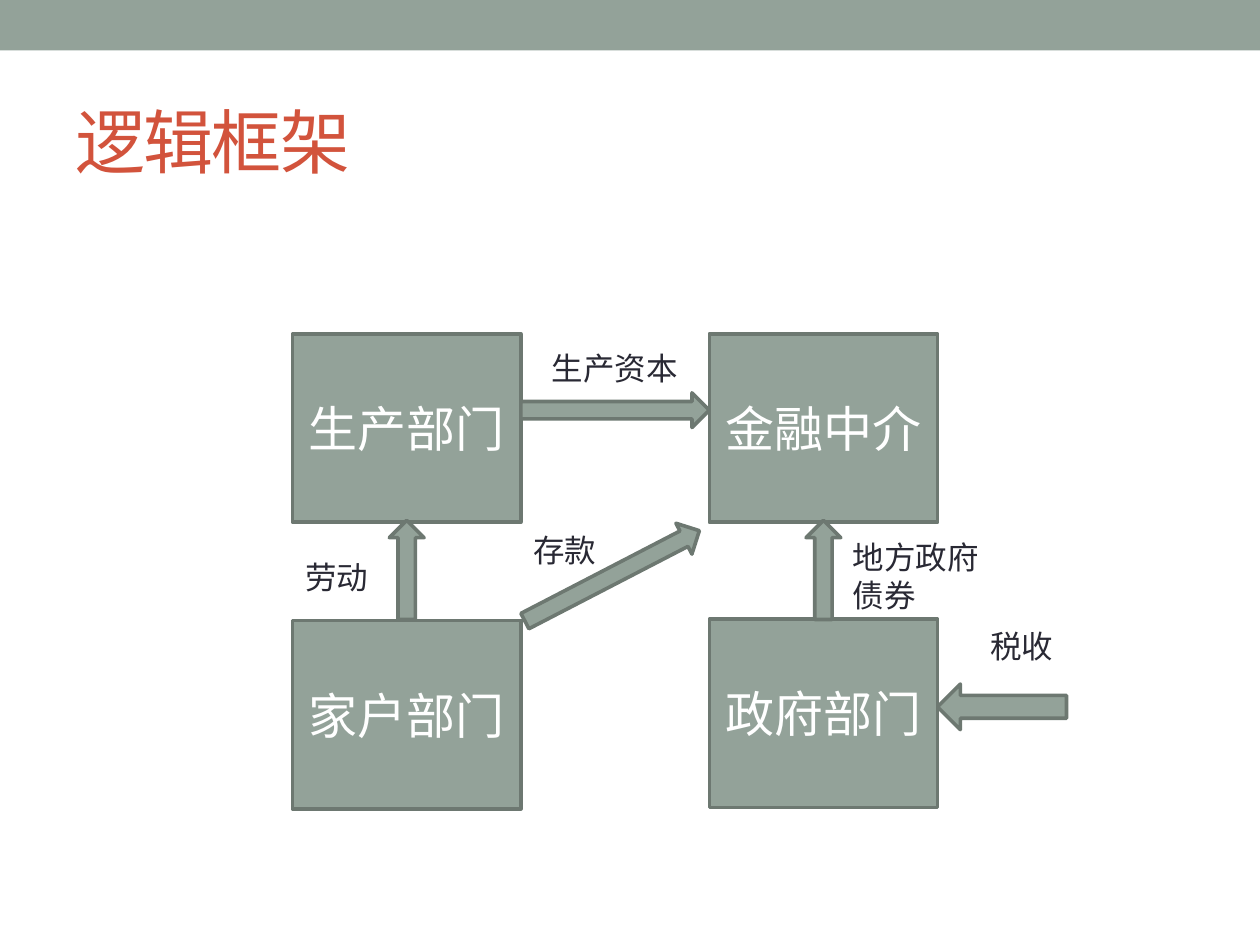
from dataclasses import dataclass
from pptx import Presentation
from pptx.dml.color import RGBColor as RGB
from pptx.enum.shapes import MSO_SHAPE as Kind
from pptx.enum.text import MSO_ANCHOR as Anchor, MSO_AUTO_SIZE as Fit, PP_ALIGN as Align
from pptx.util import Cm, Pt


@dataclass(frozen=True)
class Theme:
    font: str = "Arial"
    sage: RGB = RGB(0x93, 0xA2, 0x99)
    edge: RGB = RGB(0x6D, 0x78, 0x71)
    red: RGB = RGB(0xD2, 0x53, 0x3C)
    ink: RGB = RGB(0x29, 0x29, 0x34)
    white: RGB = RGB(0xFF, 0xFF, 0xFF)
    head: int = 40
    node: int = 28
    note: int = 18
    rule: float = 2.08


theme = Theme()


def write(shape, text, size, color, align, anchor):
    frame = shape.text_frame
    frame.word_wrap = True
    frame.vertical_anchor = anchor
    para = frame.paragraphs[0]
    para.text = text
    para.alignment = align
    font = para.font
    font.name, font.size = theme.font, Pt(size)
    font.color.rgb = color
    return para


def block(slide, kind, left, top, wide, high, line=True):
    shape = slide.shapes.add_shape(kind, Cm(left), Cm(top), Cm(wide), Cm(high))
    shape.shadow.inherit = False
    shape.fill.solid()
    shape.fill.fore_color.rgb = theme.sage
    if line:
        shape.line.color.rgb = theme.edge
        shape.line.width = Pt(theme.rule)
    else:
        shape.line.fill.background()
    return shape


def header(slide, left, top, wide):
    # Band across the top, then the title
    block(slide, Kind.RECTANGLE, left, top, wide, 1.02, line=False)
    title = slide.shapes.title
    title.left, title.top = Cm(left + 1.27), Cm(top + 1.47)
    title.width, title.height = Cm(wide - 2.54), Cm(2.74)
    para = write(title, "逻辑框架", theme.head, theme.red, Align.LEFT, Anchor.MIDDLE)
    para.runs[0].font._element.set("spc", "-100")


def diagram(slide, left, top):
    wide, high, step, drop = 4.6, 3.8, 8.4, 5.78
    thick, mid = 0.7, 1.95

    # Sectors
    nodes = [
        ("生产部门", 0, 0),
        ("家户部门", 0, drop),
        ("金融中介", step, 0),
        ("政府部门", step, drop - 0.03),
    ]
    for text, x, y in nodes:
        node = block(slide, Kind.RECTANGLE, left + x, top + y, wide, high)
        write(node, text, theme.node, theme.white, Align.CENTER, Anchor.MIDDLE)

    # Flows between sectors
    flows = [
        (Kind.UP_ARROW, mid, 3.76, thick, 2, 0),
        (Kind.UP_ARROW, 6.09, 2.9, thick, 3.96, 62.6),
        (Kind.UP_ARROW, mid + step, 3.76, thick, 2, 0),
        (Kind.RIGHT_ARROW, wide, 1.19, step - wide, thick, 0),
        (Kind.LEFT_ARROW, step + wide, 7.06, 2.6, 0.92, 0),
    ]
    for kind, x, y, w, h, turn in flows:
        block(slide, kind, left + x, top + y, w, h).rotation = turn

    # Flow names
    notes = [
        ("劳动", 0, 4.4, 2.4, 1.02),
        ("存款", wide, 3.86, 2, 1.02),
        ("地方政府债券", 11.04, 3.99, 3.56, 1.8),
        ("生产资本", 4.97, 0.18, 3.2, 1.02),
        ("税收", 13.81, 5.79, 2.4, 1.02),
    ]
    for text, x, y, w, h in notes:
        note = slide.shapes.add_textbox(Cm(left + x), Cm(top + y), Cm(w), Cm(h))
        write(note, text, theme.note, theme.ink, Align.LEFT, Anchor.TOP)
        note.text_frame.auto_size = Fit.SHAPE_TO_FIT_TEXT


def main():
    deck = Presentation()
    deck.slide_width, deck.slide_height = Cm(25.4), Cm(19.05)
    slide = deck.slides.add_slide(deck.slide_layouts[5])
    header(slide, 0, 0, 25.4)
    diagram(slide, 5.9, 6.73)
    deck.save("out.pptx")


if __name__ == "__main__":
    main()
